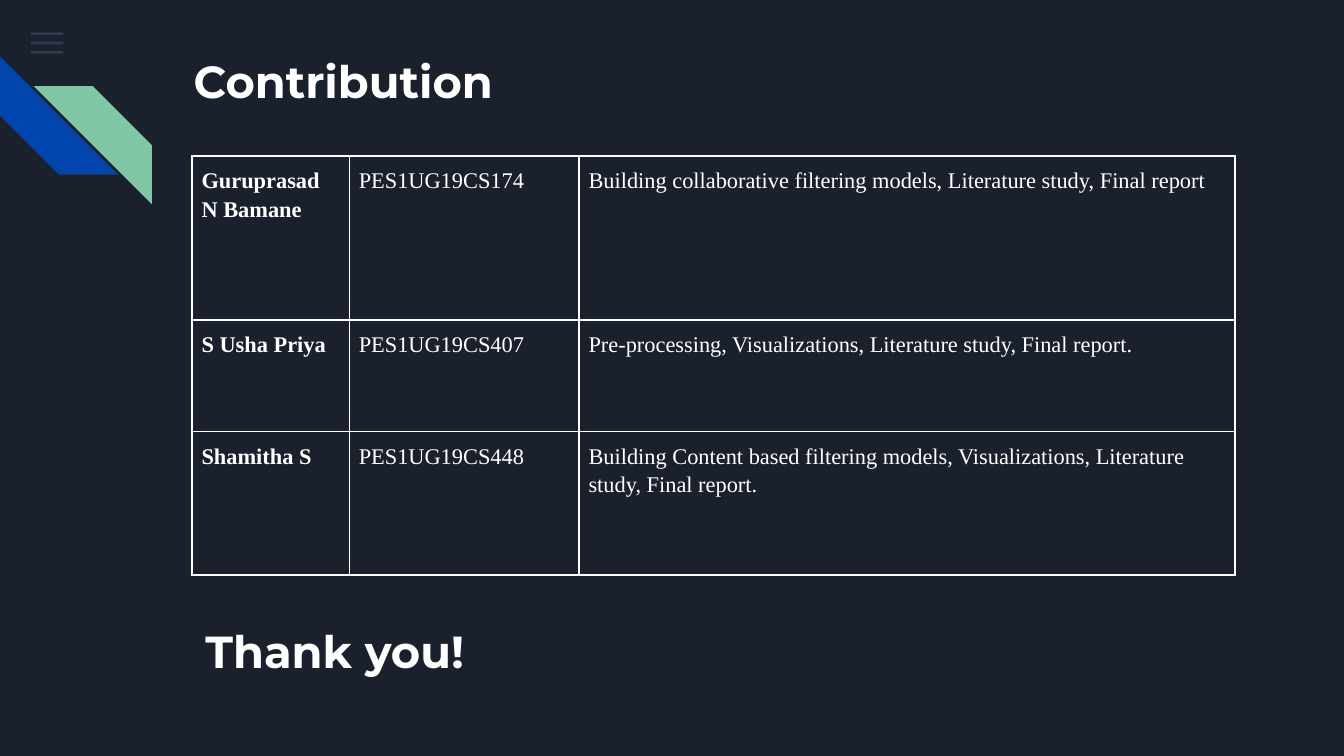
from lxml.etree import SubElement
from pptx import Presentation
from pptx.dml.color import RGBColor
from pptx.enum.shapes import MSO_SHAPE
from pptx.enum.text import MSO_ANCHOR, MSO_AUTO_SIZE, PP_ALIGN
from pptx.oxml import parse_xml
from pptx.oxml.ns import nsdecls, qn
from pptx.util import Inches, Pt

COLORS = {"night": "1B212C", "menu": "55688B", "blue": "0145AC",
          "green": "82C7A5", "white": "FFFFFF"}
CONTRIBUTIONS = [
    ("Guruprasad N Bamane", "PES1UG19CS174",
     "Building collaborative filtering models, Literature study, Final report"),
    ("S Usha Priya", "PES1UG19CS407",
     "Pre-processing, Visualizations, Literature study, Final report."),
    ("Shamitha S", "PES1UG19CS448",
     "Building Content based filtering models, Visualizations, Literature study, Final report."),
]
COLUMN_WIDTHS = [1.17, 1.71, 4.88]
ROW_HEIGHTS = [1.22, 0.83, 1.07]


def color(name):
    return RGBColor.from_string(COLORS[name])


def style_text(paragraph, face, size, bold):
    paragraph.font.name = face
    paragraph.font.size = Pt(size)
    paragraph.font.bold = bold
    paragraph.font.color.rgb = color("white")


def add_plain_shape(slide, preset, box, fill):
    shape = slide.shapes.add_shape(preset, *map(Inches, box))
    shape.shadow.inherit = False
    shape.fill.solid()
    shape.fill.fore_color.rgb = color(fill)
    shape.line.fill.background()
    return shape


def add_menu_icon(slide, left, top, width, gap):
    for index in range(3):
        bar = add_plain_shape(slide, MSO_SHAPE.RECTANGLE,
                              (left, top + index * gap, width, 0.02), "menu")
        fill_color = bar._element.spPr.find(qn("a:solidFill"))[0]
        SubElement(fill_color, qn("a:alpha"), val="36000")


def add_stripes(slide, left, top, size):
    for dx, dy, rotation, fill in [(0, 0, 270, "blue"), (0.25, 0.22, 90, "green")]:
        stripe = add_plain_shape(slide, MSO_SHAPE.DIAGONAL_STRIPE,
                                 (left + dx, top + dy, size, size), fill)
        stripe.adjustments[0] = 0.5
        stripe.rotation = rotation


def fill_heading(heading, text, box):
    heading.left, heading.top, heading.width, heading.height = map(Inches, box)
    frame = heading.text_frame
    frame.text = text
    frame.word_wrap = True
    frame.auto_size = MSO_AUTO_SIZE.NONE
    frame.vertical_anchor = MSO_ANCHOR.TOP
    frame.margin_left = frame.margin_right = Inches(0.1)
    frame.margin_top = frame.margin_bottom = Inches(0.1)
    paragraph = frame.paragraphs[0]
    paragraph.alignment = PP_ALIGN.LEFT
    style_text(paragraph, "Montserrat", 24, True)
    return paragraph


def add_borders(cell):
    properties = cell._tc.get_or_add_tcPr()
    for index, side in enumerate(("lnL", "lnR", "lnT", "lnB")):
        properties.insert(index, parse_xml(
            f'<a:{side} {nsdecls("a")} w="{Pt(1)}"><a:solidFill>'
            f'<a:srgbClr val="{COLORS["white"]}"/></a:solidFill></a:{side}>'))


def fill_cell(cell, text, bold):
    cell.text = text
    cell.fill.background()
    cell.margin_left = cell.margin_right = Inches(0.07)
    cell.margin_top = cell.margin_bottom = Inches(0.07)
    paragraph = cell.text_frame.paragraphs[0]
    paragraph.line_spacing = 1.15
    style_text(paragraph, "Times New Roman", 12, bold)
    add_borders(cell)


def add_contributions(slide, left, top):
    box = (left, top, sum(COLUMN_WIDTHS), sum(ROW_HEIGHTS))
    table = slide.shapes.add_table(len(ROW_HEIGHTS), len(COLUMN_WIDTHS),
                                   *map(Inches, box)).table
    table.first_row = table.horz_banding = False
    for column, width in zip(table.columns, COLUMN_WIDTHS):
        column.width = Inches(width)
    for row, height, values in zip(table.rows, ROW_HEIGHTS, CONTRIBUTIONS):
        row.height = Inches(height)
        for index, (cell, text) in enumerate(zip(row.cells, values)):
            fill_cell(cell, text, bold=index == 0)


def main():
    deck = Presentation()
    deck.slide_width = Inches(10)
    deck.slide_height = Inches(10 * 9 / 16)
    slide = deck.slides.add_slide(deck.slide_layouts[5])
    slide.background.fill.solid()
    slide.background.fill.fore_color.rgb = color("night")

    add_menu_icon(slide, 0.23, 0.24, 0.24, 0.07)
    add_stripes(slide, 0, 0.42, 0.88)
    add_contributions(slide, 1.43, 1.16)
    title = fill_heading(slide.shapes.title, "Contribution", (1.34, 0.24, 2.97, 0.65))
    title.line_spacing = 1.15
    title.space_after = Pt(16)
    closing = slide.shapes.add_textbox(0, 0, 0, 0)
    fill_heading(closing, "Thank you!", (1.43, 4.54, 4.5, 1.24))

    deck.save("out.pptx")


if __name__ == "__main__":
    main()
